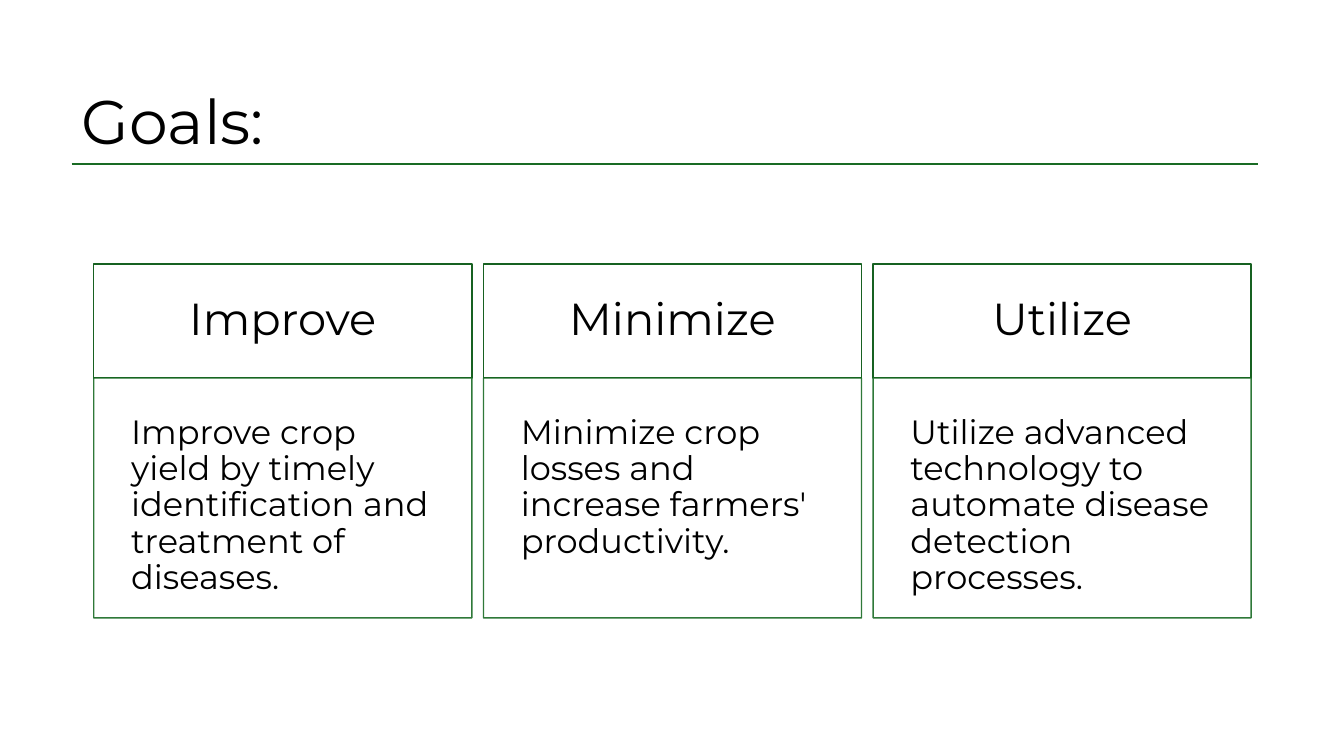
from dataclasses import dataclass

from lxml import etree
from pptx import Presentation
from pptx.dml.color import RGBColor
from pptx.enum.shapes import MSO_CONNECTOR, MSO_SHAPE
from pptx.enum.text import MSO_ANCHOR, MSO_AUTO_SIZE, PP_ALIGN
from pptx.oxml.ns import qn
from pptx.util import Inches, Pt

RECTANGLE = MSO_SHAPE.RECTANGLE
STRAIGHT = MSO_CONNECTOR.STRAIGHT
TOP, MIDDLE = MSO_ANCHOR.TOP, MSO_ANCHOR.MIDDLE
LEFT, CENTER = PP_ALIGN.LEFT, PP_ALIGN.CENTER
FIT_SHAPE = MSO_AUTO_SIZE.SHAPE_TO_FIT_TEXT


@dataclass(frozen=True)
class Theme:
    font: str = "Montserrat"
    ink: RGBColor = RGBColor(0, 0, 0)
    paper: RGBColor = RGBColor(255, 255, 255)
    green: RGBColor = RGBColor(0x19, 0x6B, 0x24)
    dark_green: RGBColor = RGBColor(0x17, 0x61, 0x21)
    title_size: int = 44
    heading_size: int = 32
    body_size: int = 24


theme = Theme()


def write(shape, text, size, align, anchor):
    frame = shape.text_frame
    frame.text = text
    frame.vertical_anchor = anchor
    para = frame.paragraphs[0]
    para.alignment = align
    para.line_spacing = 0.9
    font = para.runs[0].font
    font.name = theme.font
    font.size = Pt(size)
    font.color.rgb = theme.ink


def add_panel(top, height, text, size, align, anchor, margin, line_color):
    panel = page.shapes.add_shape(
        RECTANGLE, Inches(left), Inches(top), Inches(CARD_WIDTH), Inches(height))
    panel.shadow.inherit = False
    panel.fill.solid()
    panel.fill.fore_color.rgb = theme.paper
    panel.line.color.rgb = line_color
    panel.line.width = Pt(1)
    frame = panel.text_frame
    frame.word_wrap = True
    frame.margin_left = frame.margin_right = Inches(margin)
    frame.margin_top = frame.margin_bottom = Inches(margin)
    write(panel, text, size, align, anchor)
    return panel


deck = Presentation()
deck.slide_width = Inches(13.33)
deck.slide_height = Inches(7.5)
page = deck.slides.add_slide(deck.slide_layouts[5])
page.background.fill.solid()
page.background.fill.fore_color.rgb = theme.paper

CARD_LEFT, CARD_WIDTH, CARD_STEP = 0.93, 3.75, 3.865
HEADING_TOP, HEADING_HEIGHT = 2.62, 1.13
BODY_TOP, BODY_HEIGHT = HEADING_TOP + HEADING_HEIGHT, 2.38
goals = [
    ("Improve", "Improve crop yield by timely identification and treatment of diseases."),
    ("Minimize", "Minimize crop losses and increase farmers' productivity."),
    ("Utilize", "Utilize advanced technology to automate disease detection processes."),
]
for index, (heading, detail) in enumerate(goals):
    left = CARD_LEFT + index * CARD_STEP
    add_panel(HEADING_TOP, HEADING_HEIGHT, heading, theme.heading_size,
              CENTER, MIDDLE, 0.3, theme.dark_green)
    body = add_panel(BODY_TOP, BODY_HEIGHT, detail, theme.body_size,
                     LEFT, TOP, 0.37, theme.green)
    properties = body.fill._xPr
    for color in properties.iter(qn("a:srgbClr")):
        etree.SubElement(color, qn("a:alpha"), val="90000")

title = page.shapes.title
title.left, title.top = Inches(0.71), Inches(0.86)
title.width, title.height = Inches(2.11), Inches(0.77)
title.text_frame.word_wrap = False
title.text_frame.auto_size = FIT_SHAPE
write(title, "Goals:", theme.title_size, LEFT, TOP)

rule = page.shapes.add_connector(
    STRAIGHT, Inches(0.71), Inches(1.63), Inches(12.48), Inches(1.63))
rule.line.color.rgb = theme.green
rule.line.width = Pt(1.5)
etree.SubElement(rule.line._get_or_add_ln().getparent(), qn("a:effectLst"))

deck.save("out.pptx")
